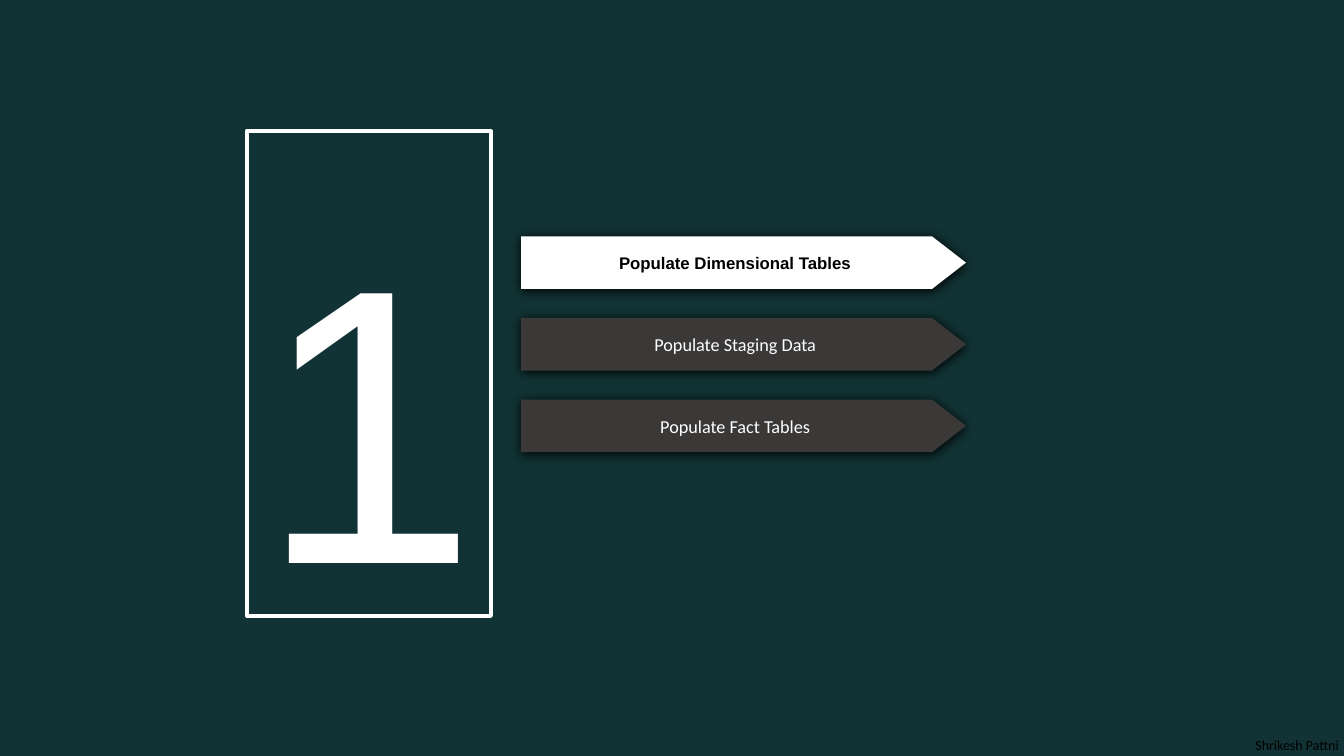
from lxml import etree
from pptx import Presentation
from pptx.dml.color import RGBColor
from pptx.enum.shapes import MSO_SHAPE
from pptx.enum.text import MSO_ANCHOR, PP_ALIGN
from pptx.oxml import parse_xml
from pptx.oxml.ns import nsdecls, qn
from pptx.util import Pt

RECTANGLE, PENTAGON = MSO_SHAPE.RECTANGLE, MSO_SHAPE.PENTAGON
TOP, MIDDLE = MSO_ANCHOR.TOP, MSO_ANCHOR.MIDDLE
CENTER, RIGHT = PP_ALIGN.CENTER, PP_ALIGN.RIGHT

TEAL = RGBColor(0x11, 0x33, 0x35)
CHARCOAL = RGBColor(0x3B, 0x38, 0x38)
WHITE = RGBColor(0xFF, 0xFF, 0xFF)
BLACK = RGBColor(0x00, 0x00, 0x00)

NUMBER_FONT = {"name": "Arial", "size": Pt(280)}
CURRENT_FONT = {"name": "Arial", "size": Pt(12), "bold": True}
STEP_FONT = {"name": "Calibri", "size": Pt(13)}
AUTHOR_FONT = {"name": "Calibri", "size": Pt(10)}

STEPS = ["Populate Dimensional Tables", "Populate Staging Data",
         "Populate Fact Tables"]
CURRENT_STEP = 0


def write(shape, text, font, color, align, anchor):
    """Put one formatted line of text in a shape."""
    frame = shape.text_frame
    frame.word_wrap = True
    frame.vertical_anchor = anchor
    para = frame.paragraphs[0]
    para.alignment = align
    span = para.add_run()
    span.text = text
    for key, value in font.items():
        setattr(span.font, key, value)
    span.font.color.rgb = color


def add_soft_shadow(shape):
    """Give a shape a blurred black shadow just below it."""
    shape.shadow.inherit = False
    effects = shape._element.spPr.find(qn("a:effectLst"))
    effects.append(parse_xml(
        f'<a:outerShdw {nsdecls("a")} blurRad="{Pt(8.5)}" dist="{Pt(1)}" '
        'dir="5400000" algn="ctr" rotWithShape="0">'
        '<a:srgbClr val="000000"/></a:outerShdw>'))


def add_number_panel(page, box, number):
    """Draw the outlined panel with the large section number."""
    panel = page.shapes.add_shape(RECTANGLE, *map(Pt, box))
    panel.shadow.inherit = False
    panel.fill.background()
    panel.line.color.rgb = WHITE
    panel.line.width = Pt(3)
    etree.SubElement(panel.line._get_or_add_ln(), qn("a:round"))
    write(panel, number, NUMBER_FONT, WHITE, CENTER, TOP)
    panel.text_frame.margin_top = Pt(29)
    panel.text_frame.margin_bottom = 0


def add_steps(page, box, steps, current):
    """Stack the step arrows in the box and highlight the current one."""
    left, top, width, height = box
    arrow_height = 37.5
    pitch = (height - arrow_height) / (len(steps) - 1)
    group = page.shapes.add_group_shape()
    for index, step in enumerate(steps):
        arrow = group.shapes.add_shape(
            PENTAGON, Pt(left), Pt(top + index * pitch),
            Pt(width), Pt(arrow_height))
        arrow.adjustments[0] = 0.645
        arrow.fill.solid()
        arrow.line.fill.background()
        add_soft_shadow(arrow)
        if index == current:
            fill, font, color = WHITE, CURRENT_FONT, BLACK
        else:
            fill, font, color = CHARCOAL, STEP_FONT, WHITE
        arrow.fill.fore_color.rgb = fill
        write(arrow, step, font, color, CENTER, MIDDLE)


def add_author(page, box, name):
    """Write the author's name in the corner."""
    label = page.shapes.add_textbox(*map(Pt, box))
    write(label, name, AUTHOR_FONT, BLACK, RIGHT, TOP)


def build_section_page(deck):
    """Build the section page from its three regions."""
    page = deck.slides.add_slide(deck.slide_layouts[6])
    page.background.fill.solid()
    page.background.fill.fore_color.rgb = TEAL
    add_number_panel(page, (176.4, 93.6, 174.25, 346.3), "1")
    add_steps(page, (372.25, 168.85, 317.75, 154.1), STEPS, CURRENT_STEP)
    add_author(page, (865.45, 522.7, 97.9, 19.4), "Shrikesh Pattni")


deck = Presentation()
deck.slide_width, deck.slide_height = Pt(960), Pt(540)
build_section_page(deck)
deck.save("out.pptx")
